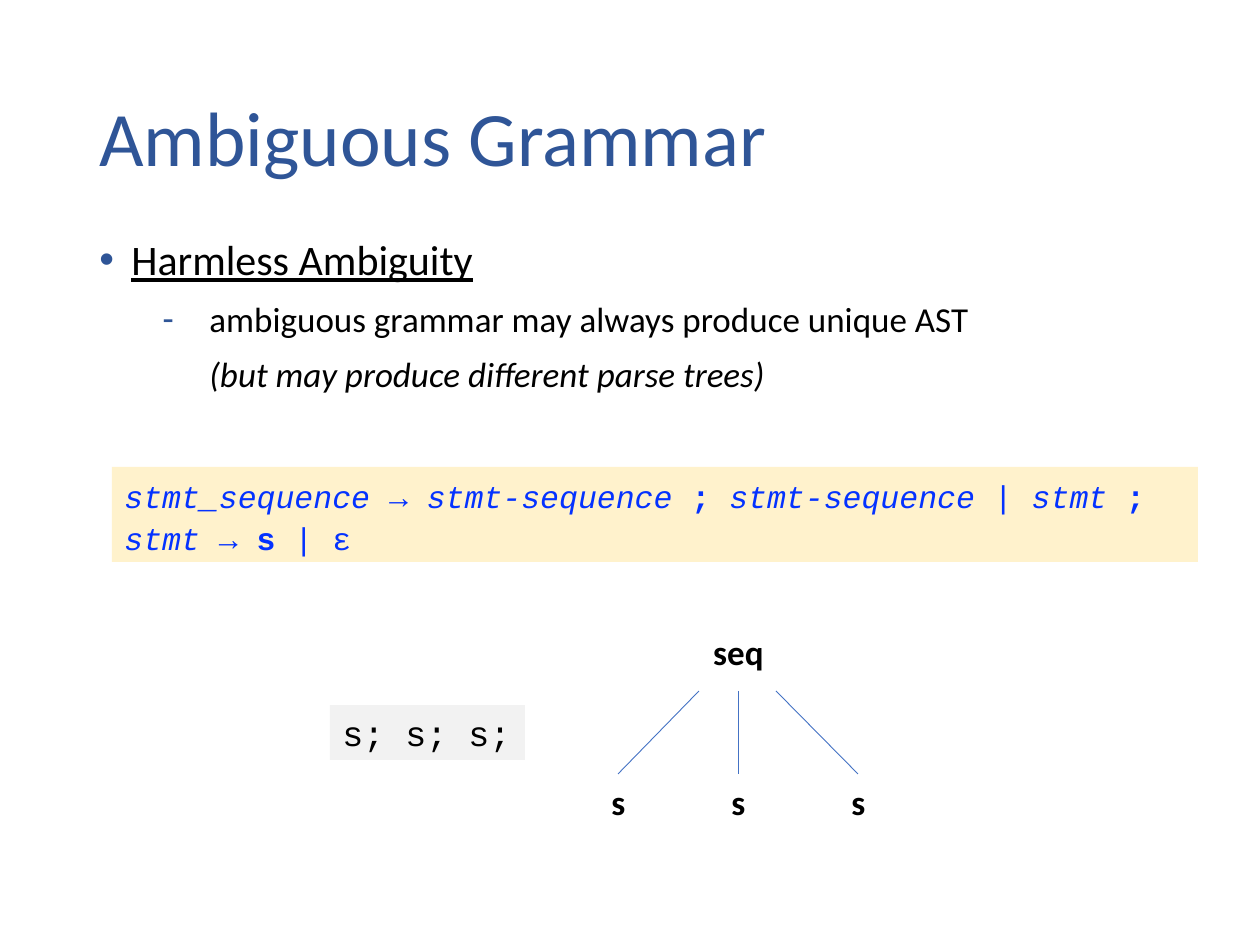
from dataclasses import dataclass

from lxml import etree
from pptx import Presentation
from pptx.dml.color import RGBColor
from pptx.enum import shapes, text
from pptx.oxml.ns import qn
from pptx.util import Emu, Pt

SCALE = 914400 / 126


@dataclass(frozen=True)
class Theme:
    sans: str = "Calibri"
    mono: str = "Courier New"
    head: str = "2F5597"
    ink: str = "000000"
    code: str = "0432FF"
    line: str = "4472C4"
    cream: str = "FFF2CC"
    grey: str = "F2F2F2"
    title: int = 44
    lead: int = 24
    body: int = 20
    rule: int = 18


T = Theme()


def px(n):
    return Emu(round(n * SCALE))


def rgb(code):
    return RGBColor.from_string(code)


def add_frame(slide, box, fill=None, wrap=True):
    """Add a text box, or a filled rectangle, and return its text frame."""
    place = [px(n) for n in box]
    if fill:
        shape = slide.shapes.add_shape(shapes.MSO_SHAPE.RECTANGLE, *place)
        shape.shadow.inherit = False
        shape.fill.solid()
        shape.fill.fore_color.rgb = rgb(fill)
        shape.line.fill.background()
    else:
        shape = slide.shapes.add_textbox(*place)
    frame = shape.text_frame
    frame.word_wrap = wrap
    frame.vertical_anchor = text.MSO_ANCHOR.TOP
    return frame


def add_para(frame, first, space=1.0, before=0, align=text.PP_ALIGN.LEFT):
    para = frame.paragraphs[0] if first else frame.add_paragraph()
    para.alignment = align
    para.line_spacing = space
    para.space_before = Pt(0 if first else before)
    return para


def add_run(para, words, size, color=T.ink, font=T.sans, style=""):
    """Add one run; style holds any of b, i and u."""
    run = para.add_run()
    run.text = words
    face = run.font
    face.name, face.size = font, Pt(size)
    face.color.rgb = rgb(color)
    face.bold, face.italic = "b" in style, "i" in style
    face.underline = "u" in style


def indent(para, left, hang=0, mark=None):
    """Set a left margin, and hang a bullet mark to the left of it."""
    props = para._p.get_or_add_pPr()
    props.set("marL", str(px(left)))
    props.set("indent", str(-px(hang)))
    if mark:
        tint = etree.SubElement(props, qn("a:buClr"))
        etree.SubElement(tint, qn("a:srgbClr"), val=T.head)
        etree.SubElement(props, qn("a:buFont"), typeface="Arial")
        etree.SubElement(props, qn("a:buChar"), char=mark)


def add_line(slide, start, end):
    line = slide.shapes.add_connector(
        shapes.MSO_CONNECTOR.STRAIGHT, *[px(n) for n in (*start, *end)])
    line.line.color.rgb = rgb(T.line)
    line.line.width = Pt(0.5)
    etree.SubElement(line._element.spPr, qn("a:effectLst"))


def draw_title(slide, box):
    frame = add_frame(slide, box)
    frame.vertical_anchor = text.MSO_ANCHOR.MIDDLE
    add_run(add_para(frame, True, 0.9), "Ambiguous Grammar", T.title, T.head)


def draw_points(slide, box):
    frame = add_frame(slide, box)
    points = [
        ("Harmless Ambiguity", T.lead, "u", 32, 32, "•"),
        ("ambiguous grammar may always produce unique AST",
         T.body, "", 110, 47, "-"),
        ("(but may produce different parse trees)", T.body, "i", 110, 0, None),
    ]
    for i, (words, size, style, left, hang, mark) in enumerate(points):
        para = add_para(frame, i == 0, 0.9, 10)
        indent(para, left, hang, mark)
        add_run(para, words, size, style=style)


def draw_rules(slide, box):
    frame = add_frame(slide, box, T.cream)
    rules = [
        [("stmt_sequence", "i"), (" → ", ""), ("stmt-sequence ", "i"),
         ("; ", "b"), ("stmt-sequence ", "i"), ("| ", ""), ("stmt ", "i"),
         (";", "b")],
        [("stmt ", "i"), ("→ ", ""), ("s ", "b"), ("| ε", "")],
    ]
    for i, rule in enumerate(rules):
        para = add_para(frame, i == 0, 1.1)
        for words, style in rule:
            add_run(para, words, T.rule, T.code, T.mono, style)


def draw_input(slide, box):
    frame = add_frame(slide, box, T.grey, wrap=False)
    add_run(add_para(frame, True), "s; s; s;", T.body, font=T.mono)


def draw_node(slide, mid, top, wide, high, words):
    frame = add_frame(slide, (mid - wide // 2, top, wide, high), wrap=False)
    para = add_para(frame, True, align=text.PP_ALIGN.CENTER)
    add_run(para, words, T.body, style="b")


def draw_tree(slide, box):
    """Draw a root over three leaves, the outer ones at the box's sides."""
    left, top, width, height = box
    leaf, root, high = 39, 77, 55
    mid = left + width // 2
    step = (width - leaf) // 2
    low = top + height - high
    draw_node(slide, mid, top, root, high, "seq")
    for side in (-1, 0, 1):
        foot = mid + side * step
        draw_node(slide, foot, low, leaf, high, "s")
        add_line(slide, (mid + side * root // 2, top + 67), (foot, low))


def main():
    deck = Presentation()
    deck.slide_width, deck.slide_height = px(1260), px(945)
    slide = deck.slides.add_slide(deck.slide_layouts[6])
    draw_title(slide, (87, 50, 1086, 183))
    draw_points(slide, (87, 233, 1027, 212))
    draw_rules(slide, (112, 467, 1086, 95))
    draw_tree(slide, (598, 624, 280, 205))
    draw_input(slide, (330, 705, 195, 55))
    deck.save("out.pptx")


if __name__ == "__main__":
    main()
